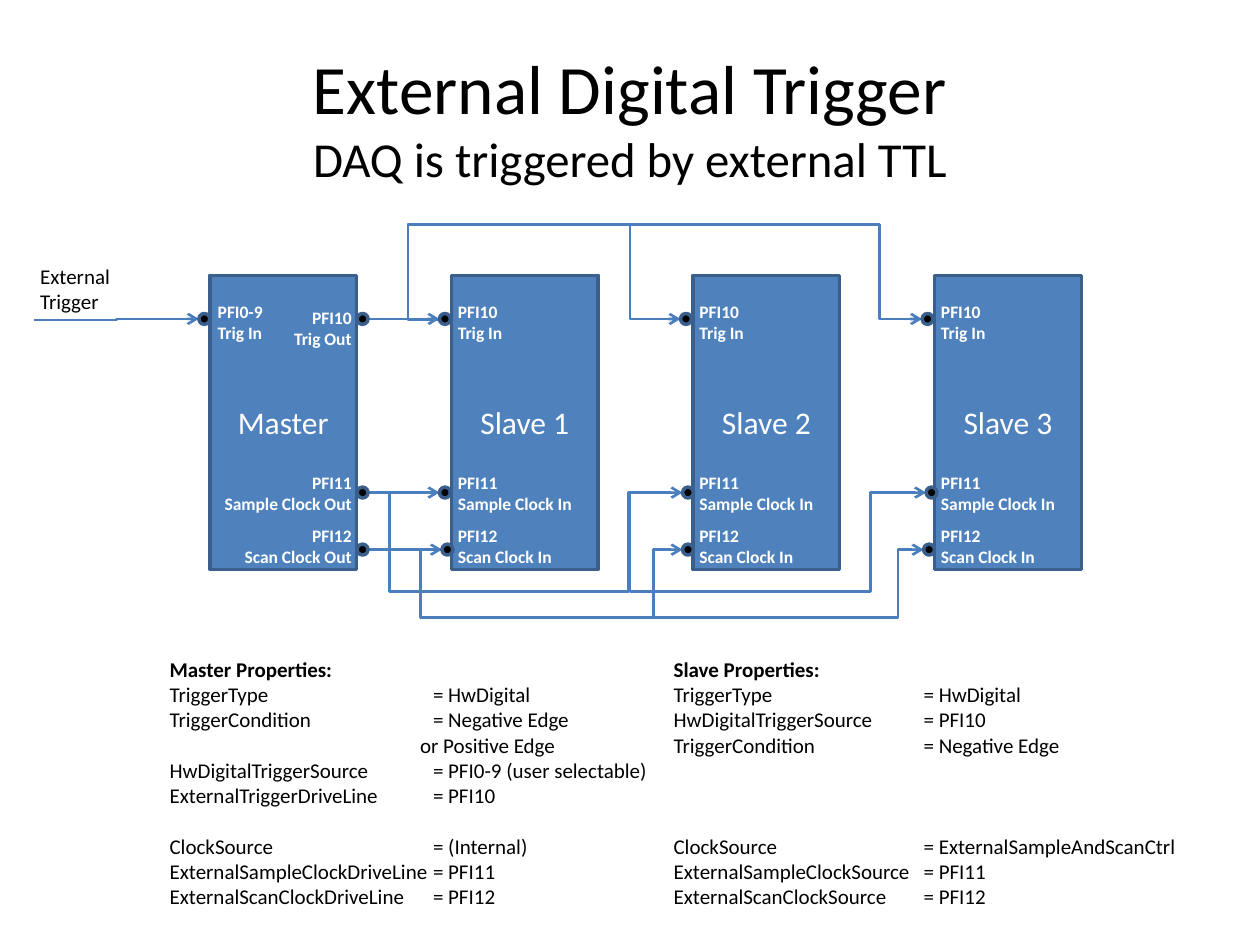
import pptx
import pptx.dml.color
import pptx.enum.shapes
import pptx.enum.text
import pptx.oxml
import pptx.oxml.ns
import pptx.util
from lxml import etree

Cm = pptx.util.Cm
Pt = pptx.util.Pt
ALIGN = pptx.enum.text.PP_ALIGN
ANCHOR = pptx.enum.text.MSO_ANCHOR
SHAPE = pptx.enum.shapes.MSO_SHAPE


def color(hex_string):
    """Turn a hex string into a colour."""
    return pptx.dml.color.RGBColor.from_string(hex_string)


def add_xml(parent, tag, **attributes):
    """Append a DrawingML child element."""
    return etree.SubElement(parent, pptx.oxml.ns.qn(tag), **attributes)


def write(paragraph, text, size=12, ink="000000", bold=False, align=ALIGN.LEFT,
          before=0, tab=None):
    """Append a formatted run to a paragraph."""
    run = paragraph.add_run()
    run.text = text
    run.font.name = "Calibri"
    run.font.size = Pt(size)
    run.font.bold = bold
    run.font.color.rgb = color(ink)
    paragraph.alignment = align
    if before:
        paragraph.space_before = Pt(before)
    if tab:
        stops = add_xml(paragraph._p.get_or_add_pPr(), "a:tabLst")
        add_xml(stops, "a:tab", pos=str(Cm(tab)), algn="l")


class Diagram:
    """Draws wiring elements in one style on one slide."""

    fill, edge, wire_color, white = "4F81BD", "3A5F8C", "4B7EBC", "FFFFFF"
    pin_radius = 0.11
    step = 0.01

    def __init__(self, slide):
        """Keep the slide to draw on."""
        self.slide = slide

    def shape(self, kind, left, top, width, height, fill):
        """Add an outlined preset shape."""
        body = self.slide.shapes.add_shape(kind, Cm(left), Cm(top), Cm(width), Cm(height))
        body.shadow.inherit = False
        body.fill.solid()
        body.fill.fore_color.rgb = color(fill)
        body.line.color.rgb = color(self.edge)
        body.line.width = Pt(2)
        return body

    def module(self, name, left, top, width, height):
        """Add a named module block."""
        frame = self.shape(SHAPE.RECTANGLE, left, top, width, height, self.fill).text_frame
        frame.vertical_anchor = ANCHOR.MIDDLE
        write(frame.paragraphs[0], name, size=18, ink=self.white, align=ALIGN.CENTER)

    def pin(self, x, y):
        """Add a pin centred on a point."""
        r = self.pin_radius
        self.shape(SHAPE.OVAL, x - r, y - r, 2 * r, 2 * r, "000000")

    def frame(self, left, top, width, height, wrap=True):
        """Add a text box and return its frame."""
        frame = self.slide.shapes.add_textbox(
            Cm(left), Cm(top), Cm(width), Cm(height)).text_frame
        frame.word_wrap = wrap
        return frame

    def label(self, lines, left, top, width, height=1.12, **style):
        """Add a short label, one paragraph a line."""
        frame = self.frame(left, top, width, height, wrap=False)
        for index, line in enumerate(lines):
            write(frame.add_paragraph() if index else frame.paragraphs[0], line, **style)

    def pin_label(self, lines, left, top, width, align=ALIGN.LEFT):
        """Add a pin's name inside a module."""
        self.label(lines, left, top, width, size=10, ink=self.white, bold=True, align=align)

    def wire(self, x1, y1, x2, y2):
        """Add an elbow connector with an arrowhead at its end."""
        wire = self.slide.shapes.add_connector(
            pptx.enum.shapes.MSO_CONNECTOR.ELBOW, Cm(x1), Cm(y1), Cm(x2), Cm(y2))
        wire.line.color.rgb = color(self.wire_color)
        wire.line.width = Pt(1.5)
        add_xml(wire.line._get_or_add_ln(), "a:tailEnd", type="arrow")
        add_xml(wire._element.spPr, "a:effectLst")
        return wire

    def bus(self, start, end, y, lead, level, drop):
        """Add a wire leaving start by lead, along level, and into end by drop."""
        properties = self.wire(end, y, start, y + self.step)._element.spPr
        properties.find(pptx.oxml.ns.qn("a:xfrm")).set("rot", "10800000")
        geometry = properties.find(pptx.oxml.ns.qn("a:prstGeom"))
        geometry.set("prst", "bentConnector5")
        guides = geometry.find(pptx.oxml.ns.qn("a:avLst"))
        if guides is None:
            guides = add_xml(geometry, "a:avLst")
        ratios = ((lead - start) / (end - start), (y - level) / self.step,
                  (drop - start) / (end - start))
        for number, ratio in enumerate(ratios, 1):
            add_xml(guides, "a:gd", name=f"adj{number}", fmla=f"val {round(ratio * 100000)}")

    def properties(self, heading, rows, left, width, tab):
        """Add a property list; a row is name, value, space before, own tab."""
        frame = self.frame(left, 13.11, width, 5.89)
        write(frame.paragraphs[0], heading, bold=True)
        for name, value, before, own_tab in rows:
            write(frame.add_paragraph(), f"{name}\t{value}", before=before, tab=own_tab or tab)


presentation = pptx.Presentation()
presentation.slide_width, presentation.slide_height = Cm(25.4), Cm(19.05)
diagram = Diagram(presentation.slides.add_slide(presentation.slide_layouts[6]))

title = diagram.frame(1.27, 0.76, 22.86, 3.18)
title.vertical_anchor = ANCHOR.MIDDLE
heading = title.paragraphs[0]
write(heading, "External Digital Trigger", size=39.6, align=ALIGN.CENTER)
heading.add_line_break()
write(heading, "DAQ is triggered by external TTL", size=27.9, align=ALIGN.CENTER)

FIRST_LEFT, PITCH, MODULE_WIDTH = 4.23, 4.87, 2.96
module_lefts = [FIRST_LEFT + PITCH * index for index in range(4)]
for name, left in zip(("Master", "Slave 1", "Slave 2", "Slave 3"), module_lefts):
    diagram.module(name, left, 5.55, MODULE_WIDTH, 5.93)

TRIGGER_Y = 6.43
MASTER_IN, MASTER_OUT, OUT_LABEL_RIGHT = 4.12, 7.31, 7.34
GAP = diagram.pin_radius

# port, signal, pin y, slave pins, in label (top, width), out label (top, width),
# bus level, routes (from slave, to slave, lead, drop)
signals = [
    ("PFI10", "Trig", TRIGGER_Y, (8.97, 13.83, 18.7), (5.94, 1.45), (6.07, 1.7),
     4.52, [(0, 1, 8.23, 12.7), (0, 2, 8.23, 17.73)]),
    ("PFI11", "Sample Clock", 9.93, (8.97, 13.87, 18.78), (9.4, 2.84), (9.4, 3.1),
     11.91, [(0, 1, 7.85, 12.67), (1, 2, 12.7, 17.55)]),
    ("PFI12", "Scan Clock", 11.08, (9.02, 13.87, 18.73), (10.46, 2.41), (10.46, 2.69),
     12.44, [(0, 1, 8.48, 13.18), (0, 2, 8.48, 18.11)]),
]
for port, signal, y, pins, (in_top, in_width), (out_top, out_width), level, routes in signals:
    diagram.wire(MASTER_OUT + GAP, y, pins[0] - GAP, y)
    for source, target, lead, drop in routes:
        diagram.bus(pins[source] - GAP, pins[target] - GAP, y, lead, level, drop)
    for x in (MASTER_OUT, *pins):
        diagram.pin(x, y)
    diagram.pin_label((port, f"{signal} Out"), OUT_LABEL_RIGHT - out_width, out_top,
                      out_width, ALIGN.RIGHT)
    for left in module_lefts[1:]:
        diagram.pin_label((port, f"{signal} In"), left - 0.12, in_top, in_width)

diagram.label(("External", "Trigger"), 0.56, 5.18, 1.93, 1.27)
diagram.wire(0.69, TRIGGER_Y + 0.02, MASTER_IN - GAP, TRIGGER_Y)
diagram.pin(MASTER_IN, TRIGGER_Y)
diagram.pin_label(("PFI0-9", "Trig In"), 4.14, 5.94, 1.45)

LINE = 14.5
diagram.properties("Master Properties:", [
    ("TriggerType", "= HwDigital", 0, None),
    ("TriggerCondition", "= Negative Edge", 0, None),
    ("", "or Positive Edge", 0, 5.05),
    ("HwDigitalTriggerSource", "= PFI0-9 (user selectable)", 0, None),
    ("ExternalTriggerDriveLine", "= PFI10", 0, None),
    ("ClockSource", "= (Internal)", LINE, None),
    ("ExternalSampleClockDriveLine", "= PFI11", 0, None),
    ("ExternalScanClockDriveLine", "= PFI12", 0, None),
], left=3.17, width=10.29, tab=5.31)
diagram.properties("Slave Properties:", [
    ("TriggerType", "= HwDigital", 0, None),
    ("HwDigitalTriggerSource", "= PFI10", 0, None),
    ("TriggerCondition", "= Negative Edge", 0, None),
    ("ClockSource", "= ExternalSampleAndScanCtrl", 3 * LINE, None),
    ("ExternalSampleClockSource", "= PFI11", 0, None),
    ("ExternalScanClockSource", "= PFI12", 0, None),
], left=13.33, width=11.51, tab=5.04)

presentation.save("out.pptx")
